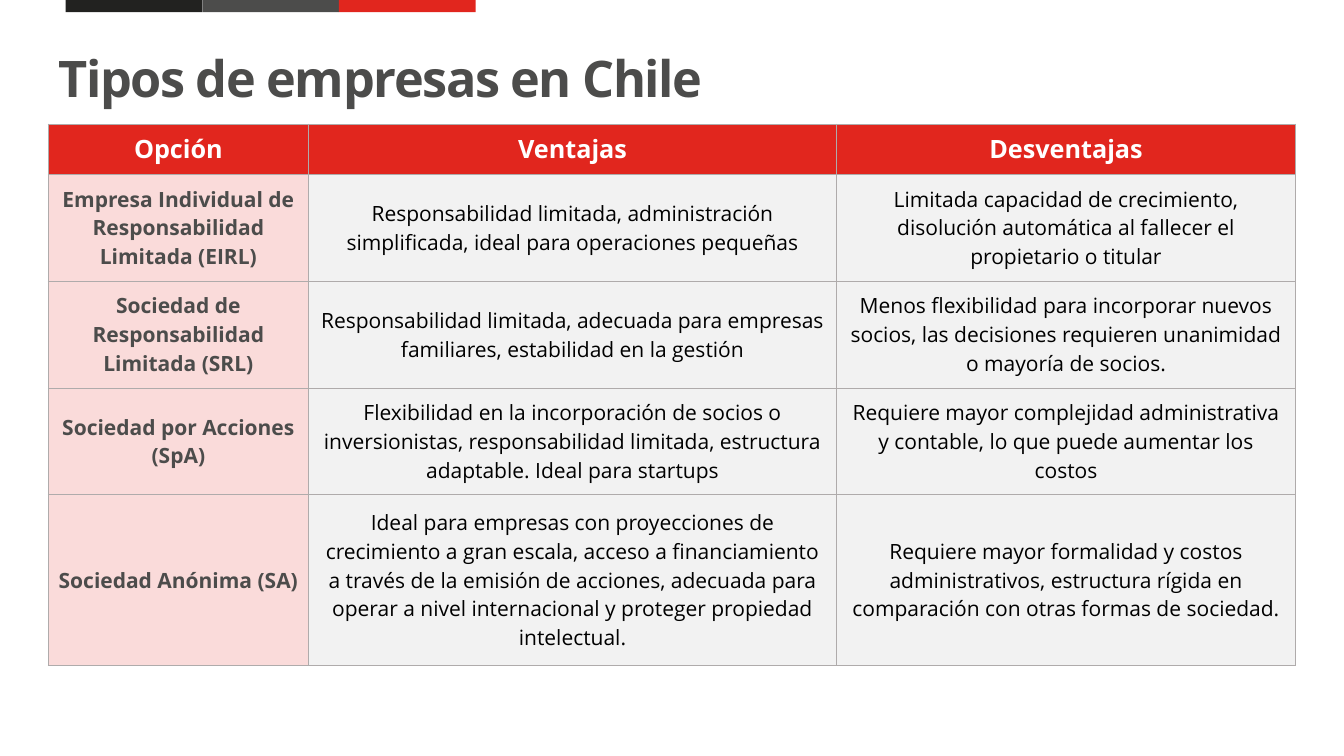
from typing import NamedTuple

from lxml.etree import SubElement
from pptx import Presentation
from pptx.dml.color import RGBColor
from pptx.enum.shapes import MSO_SHAPE as Shape
from pptx.enum.text import MSO_ANCHOR as Anchor, PP_ALIGN as Align
from pptx.oxml.ns import qn
from pptx.util import Inches, Pt

FONT = "Open Sans"
RED = RGBColor(0xE1, 0x26, 0x1E)
PINK = RGBColor(0xFA, 0xDB, 0xDA)
DARK = RGBColor(0x22, 0x22, 0x20)
GRAY = RGBColor(0x4C, 0x4C, 0x4B)
PALE = RGBColor(0xF2, 0xF2, 0xF2)
EDGE = RGBColor(0xAF, 0xAB, 0xAB)
WHITE = RGBColor(0xFF, 0xFF, 0xFF)
BLACK = RGBColor(0, 0, 0)

WIDE, HIGH = Inches(13.33), Inches(7.5)


class Look(NamedTuple):
    fill: RGBColor
    color: RGBColor
    size: float
    bold: bool


class Row(NamedTuple):
    option: str
    pros: str
    cons: str


HEAD = Look(RED, WHITE, 18, True)
NAME = Look(PINK, GRAY, 15, True)
BODY = Look(PALE, BLACK, 15, False)

# Lengths are percentages of the slide's width or height
LEFT, SPAN = 3.6, 92.8
COLS = (19.35, 39.31, 34.13)
ROWS = (6.67, 14.13, 14.13, 14.13, 22.53)
BARS = (DARK, GRAY, RED)

DATA = (
    Row("Opción", "Ventajas", "Desventajas"),
    Row("Empresa Individual de Responsabilidad Limitada (EIRL)",
        "Responsabilidad limitada, administración simplificada, ideal para "
        "operaciones pequeñas",
        "Limitada capacidad de crecimiento, disolución automática al fallecer "
        "el propietario o titular"),
    Row("Sociedad de Responsabilidad Limitada (SRL)",
        "Responsabilidad limitada, adecuada para empresas familiares, "
        "estabilidad en la gestión",
        "Menos flexibilidad para incorporar nuevos socios, las decisiones "
        "requieren unanimidad o mayoría de socios."),
    Row("Sociedad por Acciones (SpA)",
        "Flexibilidad en la incorporación de socios o inversionistas, "
        "responsabilidad limitada, estructura adaptable. Ideal para startups",
        "Requiere mayor complejidad administrativa y contable, lo que puede "
        "aumentar los costos"),
    Row("Sociedad Anónima (SA)",
        "Ideal para empresas con proyecciones de crecimiento a gran escala, "
        "acceso a financiamiento a través de la emisión de acciones, adecuada "
        "para operar a nivel internacional y proteger propiedad intelectual.",
        "Requiere mayor formalidad y costos administrativos, estructura "
        "rígida en comparación con otras formas de sociedad."),
)


def across(share: float) -> int:
    return round(WIDE * share / 100)


def down(share: float) -> int:
    return round(HIGH * share / 100)


def area(x: float, y: float, w: float, h: float) -> tuple[int, int, int, int]:
    return across(x), down(y), across(w), down(h)


def write(frame, text: str, *, size: float, color: RGBColor, bold: bool = True,
          align=Align.CENTER, lead: float | None = None,
          track: float | None = None) -> None:
    frame.word_wrap = True
    para = frame.paragraphs[0]
    para.alignment = align
    if lead:
        para.line_spacing = Pt(lead)
    run = para.add_run()
    run.text = text
    font = run.font
    font.name, font.size, font.bold = FONT, Pt(size), bold
    font.color.rgb = color
    if track:
        run._r.get_or_add_rPr().set("spc", str(round(track * 100)))


def border(cell) -> None:
    props = cell._tc.get_or_add_tcPr()
    for spot, side in enumerate(("lnL", "lnR", "lnT", "lnB")):
        line = SubElement(props, qn(f"a:{side}"), w=str(Pt(0.75)))
        solid = SubElement(line, qn("a:solidFill"))
        SubElement(solid, qn("a:srgbClr"), val=str(EDGE))
        props.insert(spot, line)


def draw_bars(slide) -> None:
    step = 10.17
    for spot, color in enumerate(BARS):
        bar = slide.shapes.add_shape(
            Shape.RECTANGLE, *area(4.88 + spot * step, 0, step, 1.6))
        bar.shadow.inherit = False
        bar.fill.solid()
        bar.fill.fore_color.rgb = color
        bar.line.fill.background()


def draw_title(slide) -> None:
    title = slide.shapes.title
    title.left, title.top, title.width, title.height = area(LEFT, 5.73, SPAN, 9.2)
    title.text_frame.vertical_anchor = Anchor.TOP
    write(title.text_frame, "Tipos de empresas en Chile", size=36, color=GRAY,
          align=Align.LEFT, lead=42, track=-1)


def draw_table(slide) -> None:
    table = slide.shapes.add_table(
        len(ROWS), len(COLS), *area(LEFT, 16.4, SPAN, sum(ROWS))).table
    for col, share in zip(table.columns, COLS):
        col.width = across(share)
    for row, share in zip(table.rows, ROWS):
        row.height = down(share)
    for r, row in enumerate(DATA):
        for c, text in enumerate(row):
            look = HEAD if r == 0 else NAME if c == 0 else BODY
            cell = table.cell(r, c)
            cell.fill.solid()
            cell.fill.fore_color.rgb = look.fill
            cell.vertical_anchor = Anchor.MIDDLE
            write(cell.text_frame, text, size=look.size, color=look.color,
                  bold=look.bold)
            border(cell)


def main() -> None:
    deck = Presentation()
    deck.slide_width, deck.slide_height = WIDE, HIGH
    slide = deck.slides.add_slide(deck.slide_layouts[5])
    draw_bars(slide)
    draw_title(slide)
    draw_table(slide)
    deck.save("out.pptx")


if __name__ == "__main__":
    main()
